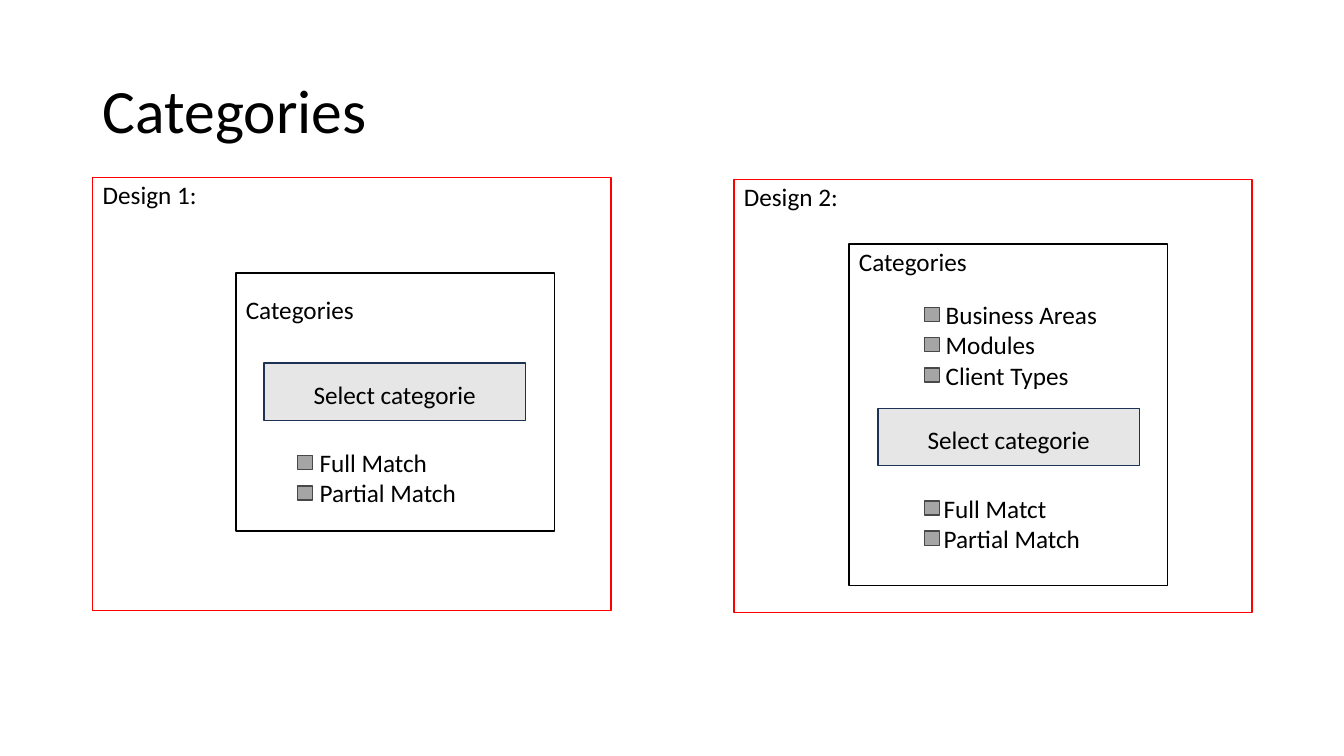
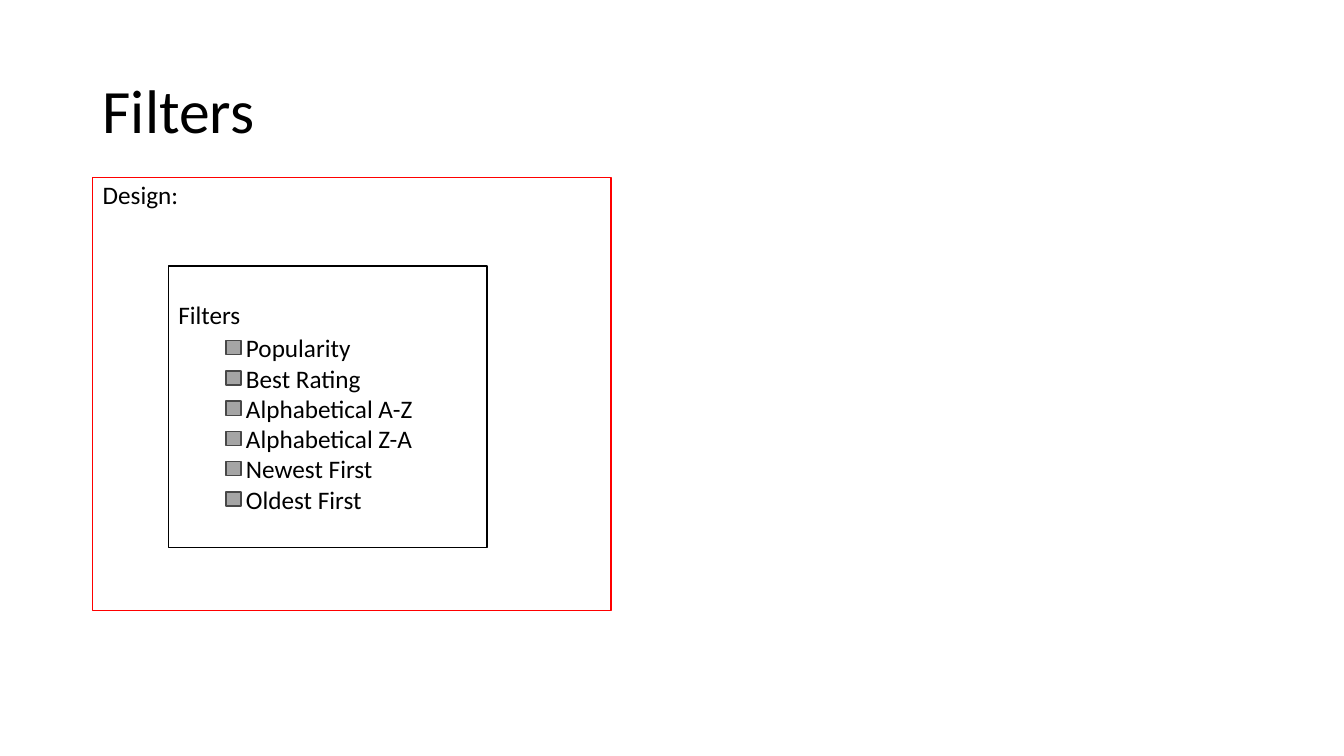
from dataclasses import dataclass

from pptx import Presentation
from pptx import util as u
from pptx.dml.color import RGBColor
from pptx.enum import shapes, text

PX = 9144  # EMU per px, 100 px to the inch


@dataclass(frozen=True)
class Theme:
    font: str = "Calibri"
    title_size: int = 44
    body_size: int = 18
    line_width: int = 1
    ink: str = "000000"
    paper: str = "FFFFFF"
    panel_line: str = "FF0000"
    button_fill: str = "E7E6E6"
    button_line: str = "1E3256"
    check_fill: str = "A5A5A5"
    check_line: str = "484848"


T = Theme()

# Shared geometry, in px
SLIDE = (1333, 750)
TITLE_BOX = (92, 40, 1150, 145)
PANEL_SIZE = (514, 430)
CARD_WIDTH = 316
BUTTON_SIZE = (259, 57)
CHECK_SIZE = (15, 14)
ROW_PITCH = 30
LABEL_SIZE = (200, 30)
INSET = 10
PANEL_INSET = 2

# Content: "inset" is the space above a card's heading,
# "gap" runs from a checkbox's left edge to its label
SLIDES = [
    {"title": "Categories", "panels": [
        {"label": "Design 1:", "at": (92, 176),
         "card": {"heading": "Categories", "at": (234, 271), "height": 256, "inset": 21},
         "button": ("Select categorie", (262, 360)),
         "options": [
             {"at": (295, 452), "gap": 22, "names": ["Full Match", "Partial Match"]},
         ]},
        {"label": "Design 2:", "at": (728, 178),
         "card": {"heading": "Categories", "at": (842, 242), "height": 339, "inset": 2},
         "button": ("Select categorie", (871, 405)),
         "options": [
             {"at": (917, 305), "gap": 21,
              "names": ["Business Areas", "Modules", "Client Types"]},
             {"at": (917, 497), "gap": 19, "names": ["Full Matct", "Partial Match"]},
         ]},
    ]},
    {"title": "Filters", "panels": [
        {"label": "Design:", "at": (92, 176),
         "card": {"heading": "Filters", "at": (167, 264), "height": 279, "inset": 33},
         "button": None,
         "options": [
             {"at": (224, 338), "gap": 20,
              "names": ["Popularity", "Best Rating", "Alphabetical A-Z",
                        "Alphabetical Z-A", "Newest First", "Oldest First"]},
         ]},
    ]},
]


def emu(*lengths):
    return [n * PX for n in lengths]


def write(sp, words, size=T.body_size, anchor=text.MSO_ANCHOR.MIDDLE,
          align=text.PP_ALIGN.LEFT, left=INSET, top=0):
    tf = sp.text_frame
    tf.word_wrap = True
    tf.vertical_anchor = anchor
    tf.margin_left, tf.margin_right, tf.margin_top, tf.margin_bottom = emu(left, left, top, 0)
    tf.text = words
    p = tf.paragraphs[0]
    p.alignment = align
    font = p.runs[0].font
    font.name, font.size = T.font, u.Pt(size)
    font.color.rgb = RGBColor.from_string(T.ink)
    return p


def add_box(s, at, size, fill, line):
    sp = s.shapes.add_shape(shapes.MSO_SHAPE.RECTANGLE, *emu(*at, *size))
    sp.shadow.inherit = False
    sp.fill.solid()
    sp.fill.fore_color.rgb = RGBColor.from_string(fill)
    sp.line.color.rgb = RGBColor.from_string(line)
    sp.line.width = u.Pt(T.line_width)
    return sp


def add_title(s, words):
    sp = s.shapes.add_textbox(*emu(*TITLE_BOX))
    write(sp, words, size=T.title_size).line_spacing = 0.9


def add_options(s, group):
    left, first_top = group["at"]
    for row, name in enumerate(group["names"]):
        top = first_top + row * ROW_PITCH
        add_box(s, (left, top), CHECK_SIZE, T.check_fill, T.check_line)
        label_top = top + (CHECK_SIZE[1] - LABEL_SIZE[1]) // 2
        label = s.shapes.add_textbox(*emu(left + group["gap"], label_top, *LABEL_SIZE))
        write(label, name, left=0)


def add_panel(s, panel):
    # Frame with its label
    frame = add_box(s, panel["at"], PANEL_SIZE, T.paper, T.panel_line)
    write(frame, panel["label"], anchor=text.MSO_ANCHOR.TOP, top=PANEL_INSET)

    # Card with its heading
    card = panel["card"]
    sp = add_box(s, card["at"], (CARD_WIDTH, card["height"]), T.paper, T.ink)
    write(sp, card["heading"], anchor=text.MSO_ANCHOR.TOP, top=card["inset"])

    # Controls on the card
    if panel["button"]:
        words, at = panel["button"]
        button = add_box(s, at, BUTTON_SIZE, T.button_fill, T.button_line)
        write(button, words, align=text.PP_ALIGN.CENTER, top=5)
    for group in panel["options"]:
        add_options(s, group)


def main():
    prs = Presentation()
    prs.slide_width, prs.slide_height = emu(*SLIDE)
    for content in SLIDES:
        s = prs.slides.add_slide(prs.slide_layouts[6])
        add_title(s, content["title"])
        for panel in content["panels"]:
            add_panel(s, panel)
    prs.save("out.pptx")


if __name__ == "__main__":
    main()
